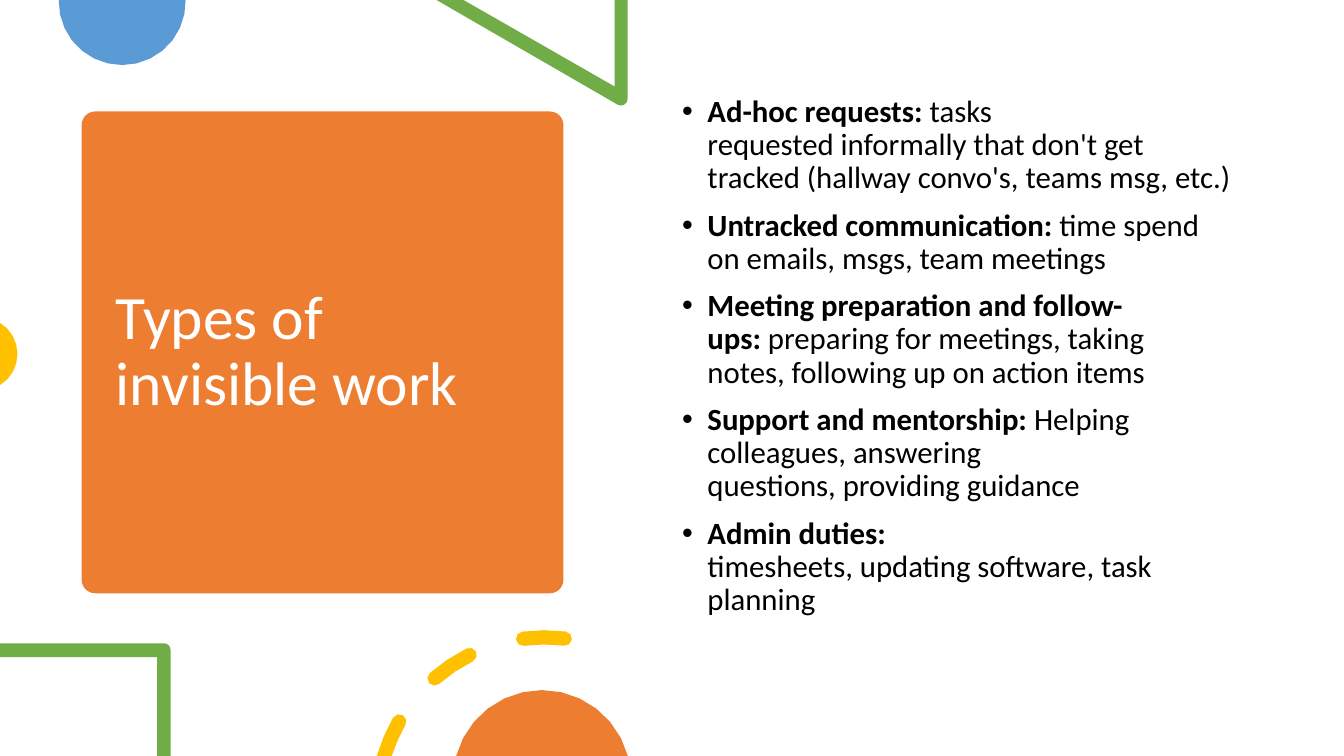
from math import cos, radians, sin

from lxml.etree import SubElement
from pptx import Presentation
from pptx.dml.color import RGBColor as Rgb
from pptx.enum.shapes import MSO_SHAPE as Kind
from pptx.enum.text import MSO_ANCHOR as Anchor
from pptx.oxml.ns import qn
from pptx.util import Cm, Pt

FONT = "Calibri"
HUES = {"orange": "ED7D31", "blue": "5B9BD5", "green": "70AD47",
        "gold": "FFC000", "white": "FFFFFF", "black": "000000"}
HARD = chr(160)  # no-break space, typed as ~ in the list
TYPES = [
    ("Ad-hoc requests:",
     "~tasks requested~informally that don't get tracked~(hallway~convo's,~teams msg, etc.)~"),
    ("Untracked communication:~",
     "time spend on~emails,~msgs,~team meetings"),
    ("Meeting preparation and follow-ups:",
     "~preparing for meetings, taking notes,~following up on action items"),
    ("Support and mentorship:",
     " Helping colleagues, answering questions,~providing~guidance"),
    ("Admin duties:",
     " timesheets,~updating~software,~task planning"),
]


def arc(x, y, r, start, end, steps=4):
    """Points along a circle, in cm; angles run counterclockwise."""
    turns = [radians(start + (end - start) * i / steps) for i in range(steps + 1)]
    return [(x + r * cos(t), y - r * sin(t)) for t in turns]


def draw(hue, *loops):
    """One filled shape made of closed loops of points in cm."""
    pen = None
    for loop in loops:
        first, *rest = [(x * 1000, y * 1000) for x, y in loop]
        if pen is None:
            pen = slide.shapes.build_freeform(*first, scale=Cm(0.001))
        else:
            pen.move_to(*first)
        pen.add_line_segments(rest, close=True)
    shape = pen.convert_to_shape()
    shape.shadow.inherit = False
    shape.fill.solid()
    shape.fill.fore_color.rgb = Rgb.from_string(HUES[hue])
    shape.line.fill.background()


deck = Presentation()
deck.slide_width, deck.slide_height = Cm(33.87), Cm(19.05)
slide = deck.slides.add_slide(deck.slide_layouts[6])

# Title card
card = slide.shapes.add_shape(Kind.ROUNDED_RECTANGLE, Cm(2.06), Cm(2.81), Cm(12.14), Cm(12.14))
card.adjustments[0] = 0.028
card.shadow.inherit = False
card.fill.solid()
card.fill.fore_color.rgb = Rgb.from_string(HUES["orange"])
card.line.fill.background()

# Title
title = slide.shapes.add_textbox(Cm(2.67), Cm(3.1), Cm(10.95), Cm(11.58)).text_frame
title.word_wrap = True
title.vertical_anchor = Anchor.MIDDLE
para = title.paragraphs[0]
para.line_spacing = 0.9
run = para.add_run()
run.text = "Types of invisible work"
run.font.name, run.font.size = FONT, Pt(44)
run.font.color.rgb = Rgb.from_string(HUES["white"])

# Circle and triangle cut by the top edge
draw("blue", arc(3.08, 0.04, 1.6, 178.5, 361.5, 14))
draw("green", [(15.82, 0), (15.49, 0), (15.49, 2.18), (11.68, 0), (11, 0),
               *arc(15.65, 2.49, 0.17, 240, 360)])

# Circle cut by the left edge
draw("gold", arc(-0.48, 8.92, 0.92, -58.5, 58.5, 8))

# List of types
body = slide.shapes.add_textbox(Cm(16.94), Cm(2.29), Cm(14.6), Cm(13.59)).text_frame
body.word_wrap = True
for i, (name, note) in enumerate(TYPES):
    para = body.add_paragraph() if i else body.paragraphs[0]
    para.line_spacing, para.space_before = 0.9, Pt(10)
    props = para._p.get_or_add_pPr()
    props.set("marL", str(Cm(0.64)))
    props.set("indent", str(-Cm(0.64)))
    SubElement(props, qn("a:buFont"), typeface="Arial")
    SubElement(props, qn("a:buChar"), char="•")
    for text, bold in ((name, True), (note, False)):
        run = para.add_run()
        run.text = text.replace("~", HARD)
        run.font.name, run.font.size, run.font.bold = FONT, Pt(22), bold
        run.font.color.rgb = Rgb.from_string(HUES["black"])

# Square corner at the bottom left
draw("green", [(0, 16.21), *arc(4.13, 16.38, 0.17, 90, 0), (4.3, 19.05),
               (3.96, 19.05), (3.96, 16.56), (0, 16.56)])

# Dashed ring with round ends, its last dash cut by the bottom edge
x, y, mid, half = 13.72, 20.28, 4.22, 0.18
dashes = []
for start, end in ((83, 97.3), (116.5, 131), (150.1, None)):
    outer, inner = end or 163.7, end or 162.2
    dash = arc(x, y, mid + half, start, outer, 2)
    if end:
        dash += arc(*arc(x, y, mid, end, end, 1)[0], half, end, end + 180)[1:-1]
    dash += arc(x, y, mid - half, inner, start, 2)
    dash += arc(*arc(x, y, mid, start, start, 1)[0], half, start + 180, start + 360)[1:-1]
    dashes.append(dash)
draw("gold", *dashes)

# Circle inside the ring
draw("orange", arc(13.66, 19.63, 2.24, 15, 165, 12))

deck.save("out.pptx")
